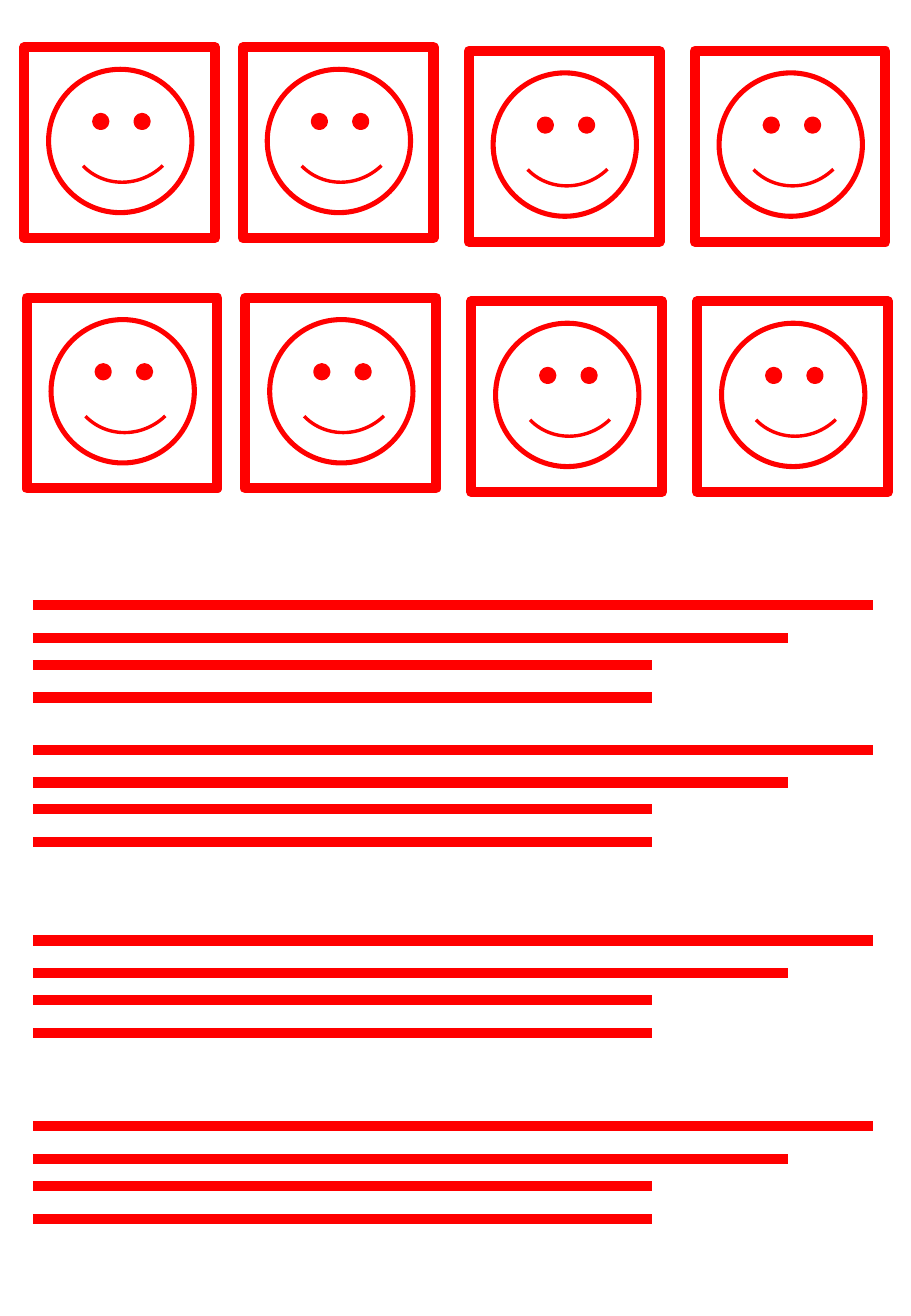
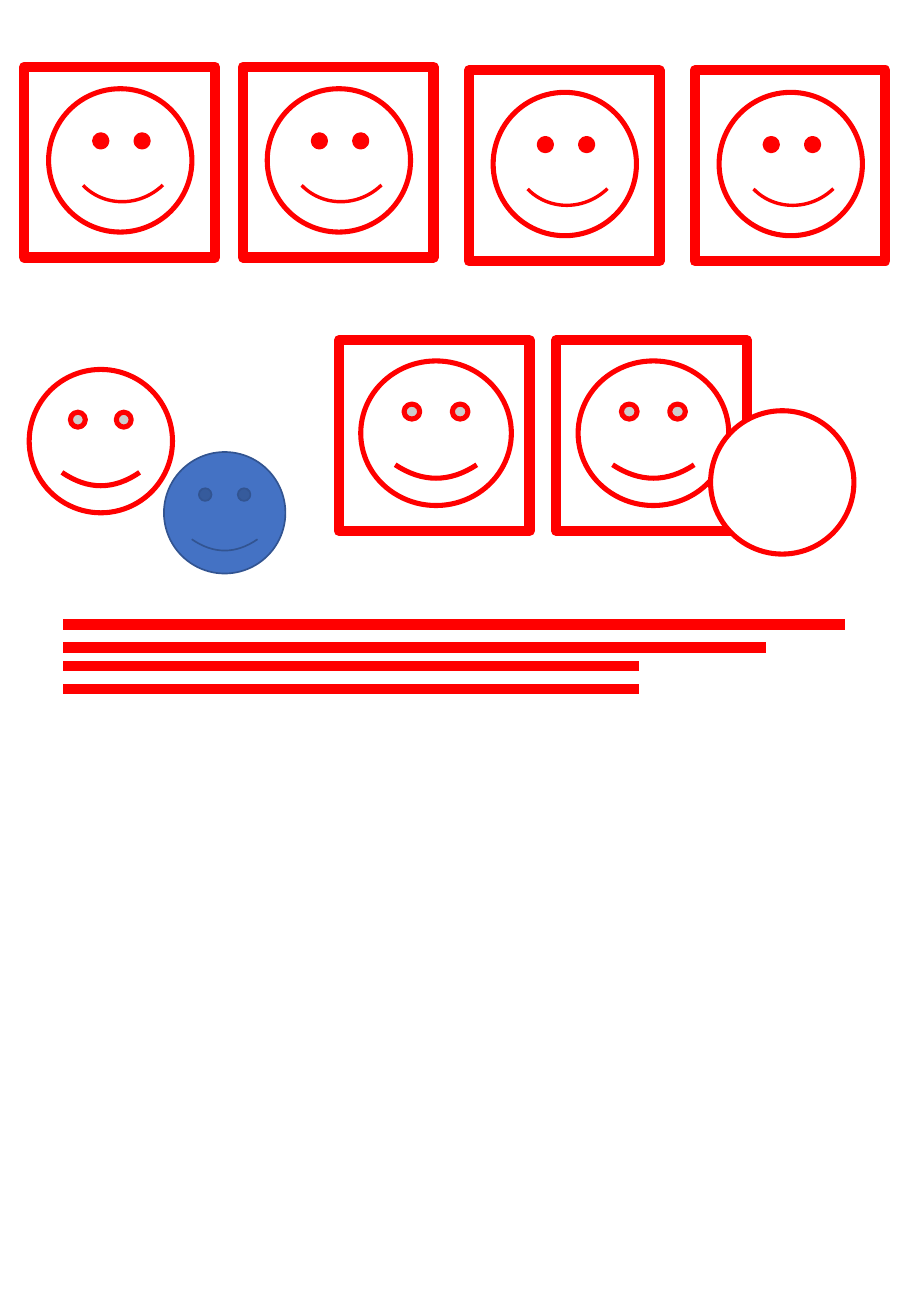
from lxml import etree
from pptx import Presentation
from pptx import util as u
from pptx.dml.color import RGBColor
from pptx.enum import shapes
from pptx.oxml import ns

RED = RGBColor(0xFF, 0x00, 0x00)
WHITE = RGBColor(0xFF, 0xFF, 0xFF)
BLUE = RGBColor(0x44, 0x72, 0xC4)
NAVY = RGBColor(0x32, 0x54, 0x91)
KIND = shapes.MSO_SHAPE

WIDTH, HEIGHT = 7.5, 10.83
HEAVY, MEDIUM, THIN, HAIR = 6, 3, 2, 1
FRAME = 1.57

# Left edge and drop of each framed face within a row
FACE_COLUMNS = [(0.2, 0), (2, 0), (3.86, 0.03), (5.72, 0.03)]
# Kind, offset in the frame, size, fill, line weight, rotation
FACE_PARTS = [
    (KIND.RECTANGLE, (0, 0), (FRAME, FRAME), WHITE, HEAVY, 0),
    (KIND.OVAL, (0.2, 0.18), (1.18, 1.18), WHITE, MEDIUM, 0),
    (KIND.OVAL, (0.58, 0.56), (0.1, 0.1), RED, MEDIUM, 0),
    (KIND.OVAL, (0.92, 0.56), (0.1, 0.1), RED, MEDIUM, 0),
    (KIND.ARC, (0.35, 0.19), (0.95, 0.91), None, THIN, 136),
]
SMILEY_PARTS = [
    (KIND.RECTANGLE, (0, 0), (FRAME, FRAME), WHITE, HEAVY, 0),
    (KIND.SMILEY_FACE, (0.18, 0.17), (1.24, 1.19), WHITE, MEDIUM, 0),
]
# Drop and length of each rule in a block
RULES = [(0, 6.92), (0.27, 6.22), (0.49, 5.1), (0.76, 5.1)]

FACE_ROWS = [(0, 0.39), (0.02, 2.45)]
RULE_TOPS = [4.98, 6.17, 7.74, 9.27]

SECOND_FACE_ROW = (0, 0.55)
SMILEY_FRAMES = [(2.79, 2.8), (4.58, 2.8)]
# Kind, position, size, fill, line colour, line weight
LOOSE_SHAPES = [
    (KIND.SMILEY_FACE, (0.24, 3.04), 1.18, WHITE, RED, MEDIUM),
    (KIND.SMILEY_FACE, (1.35, 3.72), 1, BLUE, NAVY, HAIR),
    (KIND.OVAL, (5.85, 3.38), 1.18, WHITE, RED, MEDIUM),
]


def add_figure(parent, kind, at, size, fill, line, weight, rotation=0):
    lengths = [u.Inches(value) for value in (*at, *size)]
    figure = parent.shapes.add_shape(kind, *lengths)
    figure.shadow.inherit = False
    figure.rotation = rotation
    if fill is None:
        figure.fill.background()
    else:
        figure.fill.solid()
        figure.fill.fore_color.rgb = fill
    figure.line.color.rgb = line
    figure.line.width = u.Pt(weight)


def add_parts(page, parts, left, top):
    """Group a frame and its contents, placed from the frame's corner."""
    group = page.shapes.add_group_shape()
    for kind, (dx, dy), size, fill, weight, rotation in parts:
        add_figure(group, kind, (left + dx, top + dy), size, fill, RED, weight, rotation)


def add_face_row(page, shift, top):
    for left, drop in FACE_COLUMNS:
        add_parts(page, FACE_PARTS, left + shift, top + drop)


def add_rules(page, left, top, across=1, down=1):
    """Group a block of rules, scaled by across and down."""
    group = page.shapes.add_group_shape()
    for drop, length in RULES:
        y = u.Inches(top + drop * down)
        rule = group.shapes.add_connector(
            shapes.MSO_CONNECTOR.STRAIGHT,
            u.Inches(left), y, u.Inches(left + length * across), y)
        rule.line.color.rgb = RED
        rule.line.width = u.Pt(HEAVY)
        etree.SubElement(rule._element.spPr, ns.qn("a:effectLst"))


def build_first(page):
    for shift, top in FACE_ROWS:
        add_face_row(page, shift, top)
    for top in RULE_TOPS:
        add_rules(page, 0.27, top)


def build_second(page):
    add_rules(page, 0.52, 5.14, across=0.93, down=0.7)
    for left, top in SMILEY_FRAMES:
        add_parts(page, SMILEY_PARTS, left, top)
    for kind, at, size, fill, line, weight in LOOSE_SHAPES:
        add_figure(page, kind, at, (size, size), fill, line, weight)
    add_face_row(page, *SECOND_FACE_ROW)


def main():
    deck = Presentation()
    deck.slide_width, deck.slide_height = u.Inches(WIDTH), u.Inches(HEIGHT)
    for build in (build_first, build_second):
        build(deck.slides.add_slide(deck.slide_layouts[6]))
    deck.save("out.pptx")


if __name__ == "__main__":
    main()
